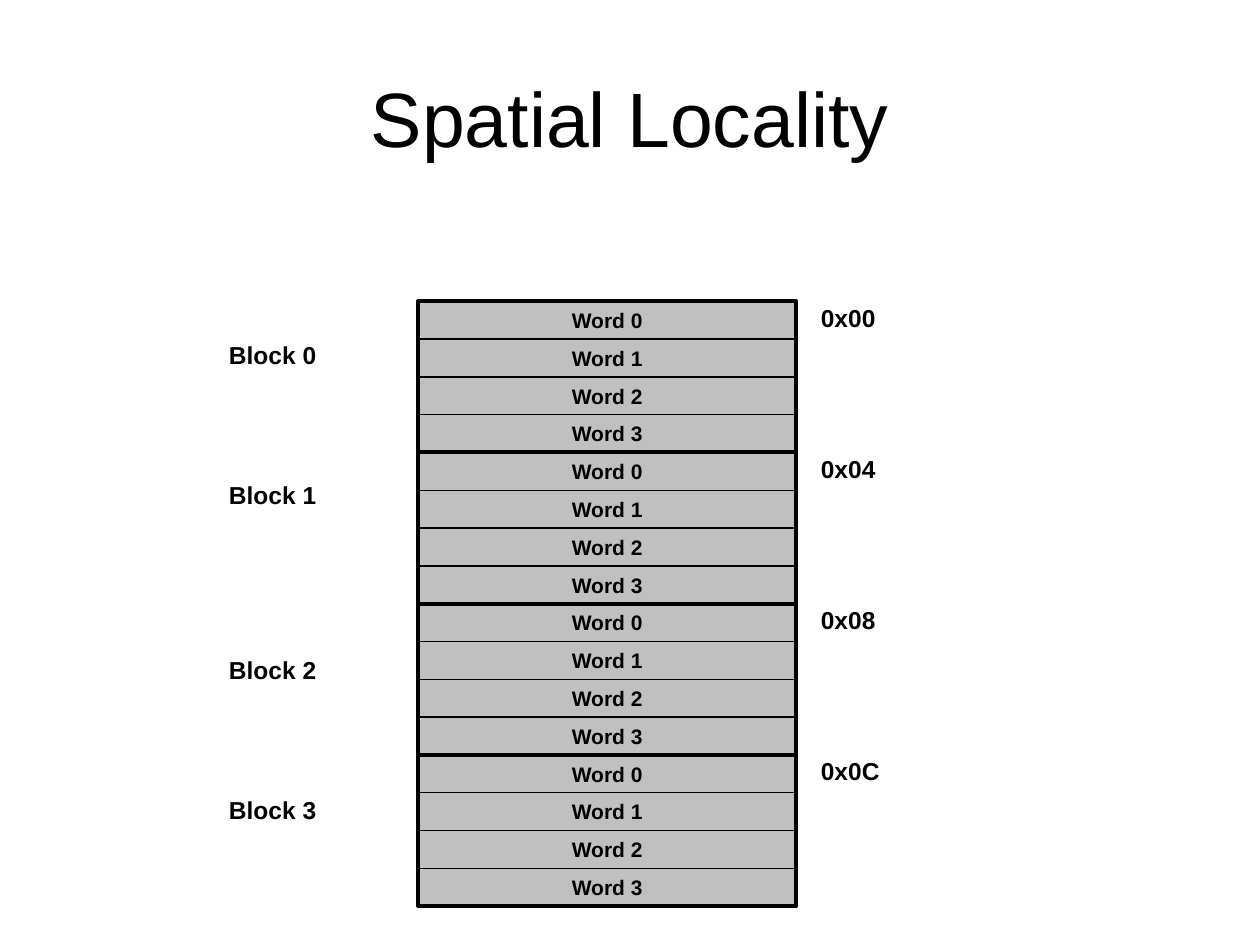
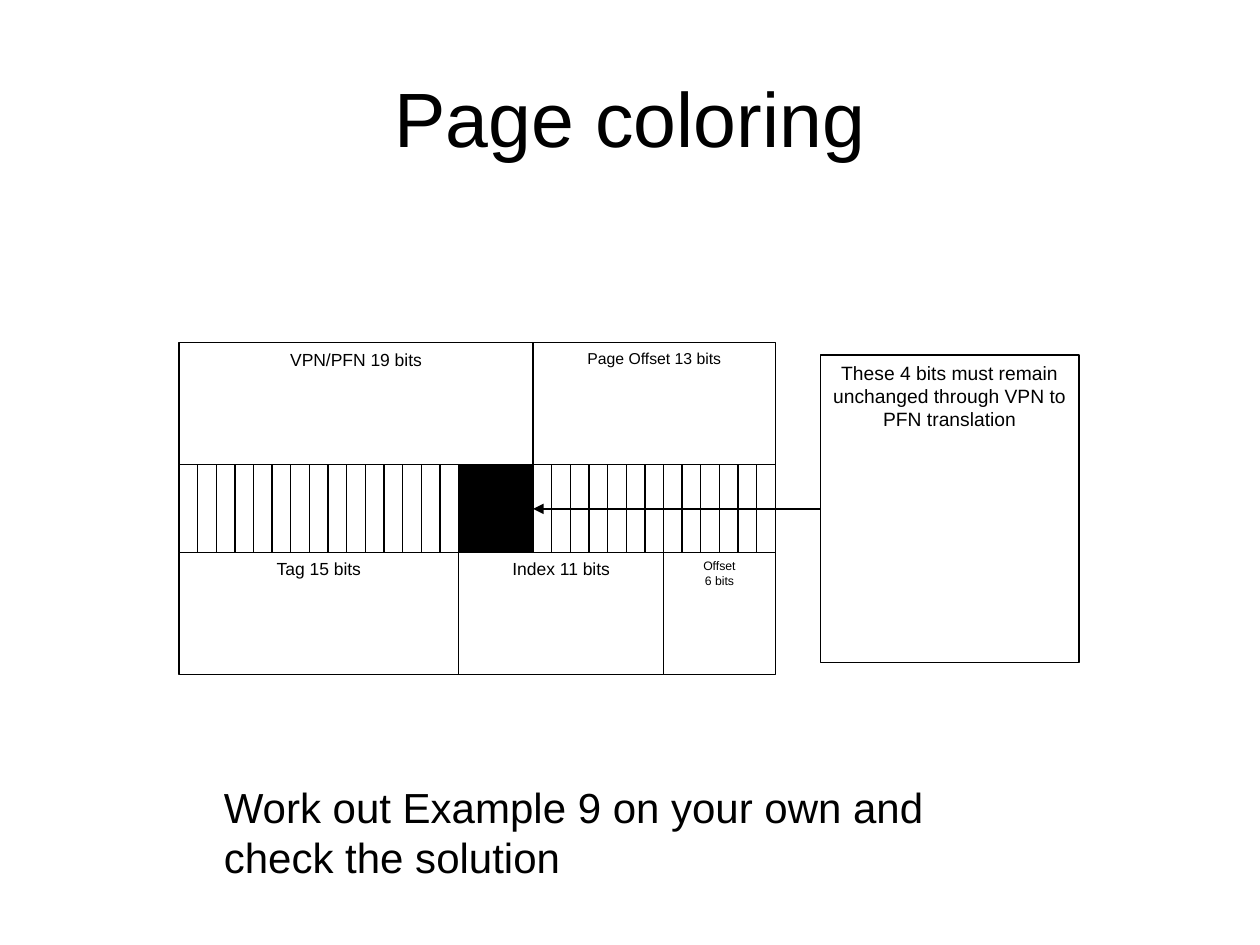
from lxml.etree import SubElement
from pptx import Presentation
from pptx.dml.color import RGBColor
from pptx.enum.shapes import MSO_CONNECTOR as CONN, MSO_SHAPE as SHAPE
from pptx.enum.text import MSO_ANCHOR as ANCHOR, PP_ALIGN as ALIGN
from pptx.oxml.ns import qn
from pptx.util import Pt

FONT = "Arial"
BLACK, WHITE, GREY = "000000", "FFFFFF", "C0C0C0"
THIN, THICK = 0.75, 2.25

BLOCKS = WORDS = 4
STACK_X, STACK_Y, STACK_W, ROW_H = 239, 172.2, 216, 21.6
BLOCK_LABEL_TOPS = (190.8, 270.7, 370.8, 450.7)

BITS, BIT_W, BITS_X = 32, 10.65, 102.3
BITS_Y, BIT_H, FIELD_H = 265.5, 50.1, 69.8
COLOR_BITS = range(15, 19)


def color(hex_string):
    return RGBColor.from_string(hex_string)


def write(tf, lines, size, align=ALIGN.LEFT, anchor=ANCHOR.TOP, bold=False):
    tf.word_wrap = True
    tf.vertical_anchor = anchor
    for i, line in enumerate(lines):
        p = tf.paragraphs[0] if i == 0 else tf.add_paragraph()
        p.alignment = align
        r = p.add_run()
        r.text = line
        r.font.name = FONT
        r.font.size = Pt(size)
        r.font.bold = bold
        r.font.color.rgb = color(BLACK)


def add_titled_slide(prs, title):
    s = prs.slides.add_slide(prs.slide_layouts[5])
    sp = s.shapes.title
    sp.left, sp.top, sp.width, sp.height = Pt(36), Pt(21.6), Pt(648), Pt(90)
    write(sp.text_frame, [title], 44, ALIGN.CENTER, ANCHOR.MIDDLE)
    return s


def add_box(s, x, y, w, h, fill=None, line=THIN):
    sp = s.shapes.add_shape(SHAPE.RECTANGLE, Pt(x), Pt(y), Pt(w), Pt(h))
    sp.shadow.inherit = False
    if fill:
        sp.fill.solid()
        sp.fill.fore_color.rgb = color(fill)
    else:
        sp.fill.background()
    sp.line.color.rgb = color(BLACK)
    sp.line.width = Pt(line)
    return sp


def add_label(s, x, y, w, h, lines, size, bold=False):
    sp = s.shapes.add_textbox(Pt(x), Pt(y), Pt(w), Pt(h))
    write(sp.text_frame, lines, size, bold=bold)


def add_arrow(s, x1, y1, x2, y2):
    cn = s.shapes.add_connector(CONN.STRAIGHT, Pt(x1), Pt(y1), Pt(x2), Pt(y2))
    cn.line.color.rgb = color(BLACK)
    cn.line.width = Pt(THIN)
    SubElement(cn.line._get_or_add_ln(), qn("a:tailEnd"), type="triangle")
    SubElement(cn._element.spPr, qn("a:effectLst"))


def add_memory_block(s, block):
    top = STACK_Y + block * WORDS * ROW_H
    add_box(s, STACK_X, top, STACK_W, WORDS * ROW_H, GREY, THICK)
    for word in range(WORDS):
        sp = add_box(s, STACK_X, top + word * ROW_H, STACK_W, ROW_H)
        write(sp.text_frame, [f"Word {word}"], 12, ALIGN.CENTER, ANCHOR.MIDDLE, True)
    add_label(s, 123.8, BLOCK_LABEL_TOPS[block], 72, 24.3, [f"Block {block}"], 14, True)
    address = f"0x{block * WORDS:02X}"
    add_label(s, 462, top - 2.8, 56, 24.3, [address], 14, True)


def add_field(s, first_bit, bits, y, lines, size):
    sp = add_box(s, BITS_X + first_bit * BIT_W, y, bits * BIT_W, FIELD_H)
    write(sp.text_frame, lines, size, ALIGN.CENTER)


def build_spatial_locality(prs):
    s = add_titled_slide(prs, "Spatial Locality")
    for block in range(BLOCKS):
        add_memory_block(s, block)


def build_page_coloring(prs):
    s = add_titled_slide(prs, "Page coloring")
    for bit in range(BITS):
        fill = BLACK if bit in COLOR_BITS else WHITE
        add_box(s, BITS_X + bit * BIT_W, BITS_Y, BIT_W, BIT_H, fill)

    upper, lower = BITS_Y - FIELD_H, BITS_Y + BIT_H
    add_field(s, 0, 19, upper, ["VPN/PFN 19 bits"], 10)
    add_field(s, 19, 13, upper, ["Page Offset 13 bits"], 9)
    add_field(s, 0, 15, lower, ["Tag 15 bits"], 10)
    add_field(s, 15, 11, lower, ["Index 11 bits"], 10)
    add_field(s, 26, 6, lower, ["Offset", "6 bits"], 7)

    note_x = 468.8
    add_arrow(s, note_x, 290.8, BITS_X + COLOR_BITS.stop * BIT_W, 290.8)
    sp = add_box(s, note_x, 202.8, 147.8, 175.6, WHITE)
    note = "These 4 bits must remain unchanged through VPN to PFN translation"
    write(sp.text_frame, [note], 11, ALIGN.CENTER)

    task = ["Work out Example 9 on your own and", "check the solution"]
    add_label(s, 120.8, 442.8, 430, 64.8, task, 24)


def main():
    prs = Presentation()
    prs.slide_width, prs.slide_height = Pt(720), Pt(540)
    build_spatial_locality(prs)
    build_page_coloring(prs)
    prs.save("out.pptx")


if __name__ == "__main__":
    main()
